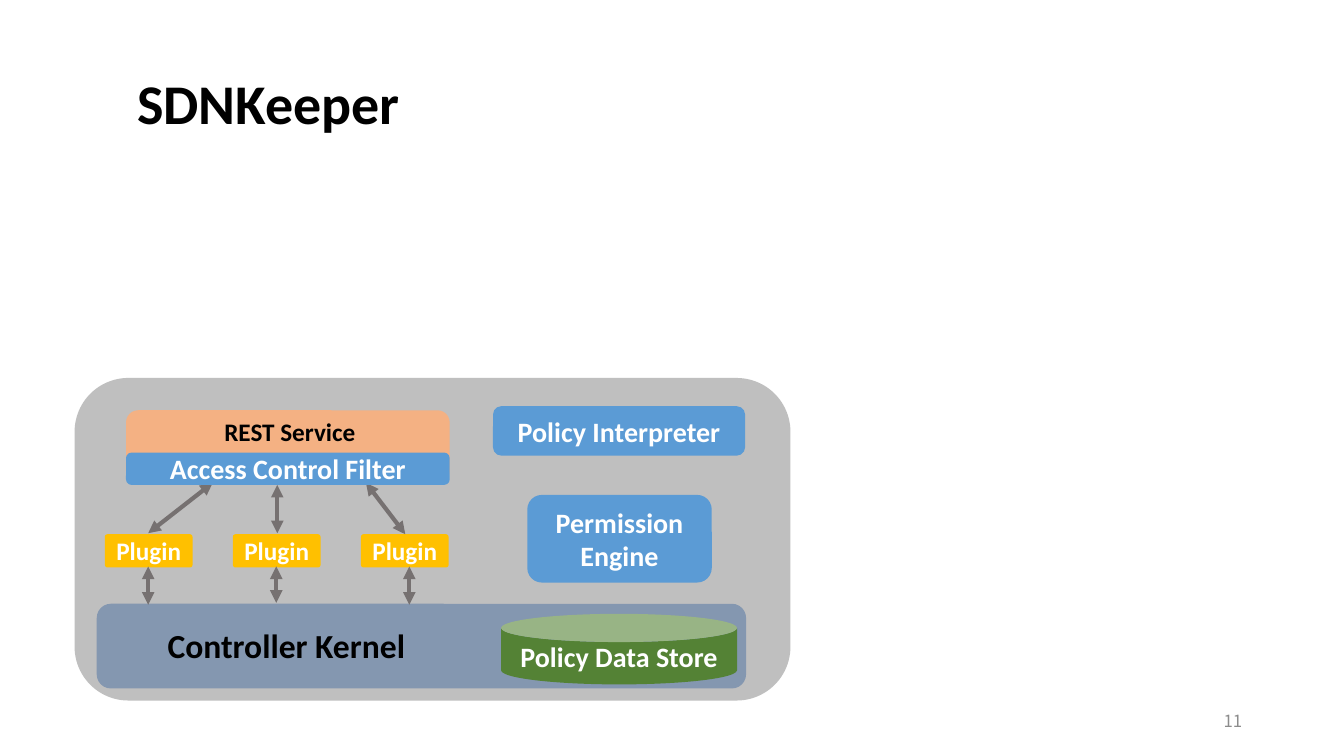
from lxml.etree import SubElement
from pptx import Presentation
from pptx.dml.color import RGBColor
from pptx.enum.shapes import MSO_CONNECTOR, MSO_SHAPE
from pptx.enum.text import MSO_ANCHOR, MSO_AUTO_SIZE, PP_ALIGN
from pptx.oxml.ns import qn
from pptx.util import Inches, Pt

BLACK, WHITE = "000000", "FFFFFF"
PANEL, KERNEL, REST = "BFBFBF", "8497B0", "F4B183"
BLUE, GREEN, YELLOW, ARROW = "5B9BD5", "548235", "FFC000", "767171"


def color(value):
    return RGBColor.from_string(value)


def write(frame, text, size, ink, align, bold=True, font="Calibri"):
    para = frame.paragraphs[0]
    para.alignment = align
    span = para.add_run()
    span.text = text
    span.font.name = font
    span.font.size = Pt(size)
    span.font.bold = bold
    span.font.color.rgb = color(ink)


def add_block(page, place, fill, text="", size=20, kind=MSO_SHAPE.ROUNDED_RECTANGLE, adjust=None):
    block = page.shapes.add_shape(kind, *map(Inches, place))
    block.shadow.inherit = False
    block.fill.solid()
    block.fill.fore_color.rgb = color(fill)
    block.line.fill.background()
    if adjust is not None:
        block.adjustments[0] = adjust
    if text:
        frame = block.text_frame
        frame.word_wrap = True
        frame.vertical_anchor = MSO_ANCHOR.MIDDLE
        frame.margin_left = frame.margin_right = Inches(0.05)
        frame.margin_top = frame.margin_bottom = 0
        write(frame, text, size, WHITE, PP_ALIGN.CENTER)


def add_label(page, place, text, size, ink=BLACK, align=PP_ALIGN.CENTER, wrap=False, **style):
    box = page.shapes.add_textbox(*map(Inches, place))
    box.text_frame.word_wrap = wrap
    box.text_frame.vertical_anchor = MSO_ANCHOR.MIDDLE
    write(box.text_frame, text, size, ink, align, **style)


def add_arrow(page, start, end):
    arrow = page.shapes.add_connector(MSO_CONNECTOR.STRAIGHT, *map(Inches, start + end))
    arrow.line.color.rgb = color(ARROW)
    arrow.line.width = Pt(3)
    line = arrow.line._get_or_add_ln()
    for tip in ("a:headEnd", "a:tailEnd"):
        SubElement(line, qn(tip), type="triangle")
    SubElement(arrow._element.spPr, qn("a:effectLst"))


def add_title(page, text):
    title = page.shapes.title
    title.left, title.top, title.width, title.height = map(Inches, (1.26, 0.63, 2.84, 0.77))
    frame = title.text_frame
    frame.auto_size = MSO_AUTO_SIZE.NONE
    frame.word_wrap = False
    frame.vertical_anchor = MSO_ANCHOR.TOP
    write(frame, text, 40, BLACK, PP_ALIGN.LEFT)


def add_plugins(page):
    for column in range(3):
        add_block(page, (1.04 + 1.27 * column, 5.3, 0.87, 0.33), YELLOW, "Plugin", 18, adjust=0.08)


def add_arrows(page):
    filter_links = [((2.11, 4.79), (1.47, 5.29)), ((2.75, 4.81), (2.75, 5.29)), ((3.63, 4.79), (4.02, 5.3))]
    kernel_links = [((x, 5.62), (x, bottom)) for x, bottom in ((2.74, 5.98), (4.06, 6), (1.47, 6))]
    for start, end in filter_links + kernel_links:
        add_arrow(page, start, end)


def main():
    deck = Presentation()
    deck.slide_width, deck.slide_height = Inches(13.33), Inches(7.5)
    page = deck.slides.add_slide(deck.slide_layouts[5])
    add_title(page, "SDNKeeper")
    add_block(page, (0.74, 3.75, 7.1, 3.2), PANEL)
    add_block(page, (0.96, 5.99, 6.44, 0.84), KERNEL)
    add_block(page, (4.97, 6.09, 2.34, 0.7), GREEN, "Policy Data Store", kind=MSO_SHAPE.CAN, adjust=0.4)
    add_plugins(page)
    add_block(page, (1.25, 4.07, 3.21, 0.72), REST)
    add_arrows(page)
    add_label(page, (2.12, 4.08, 1.51, 0.4), "REST Service", 18)
    add_label(page, (1.55, 6.15, 2.58, 0.5), "Controller Kernel", 24)
    add_block(page, (4.89, 4.03, 2.5, 0.49), BLUE, "Policy Interpreter")
    add_block(page, (5.23, 4.91, 1.83, 0.87), BLUE, "Permission Engine")
    add_block(page, (1.25, 4.49, 3.21, 0.32), BLUE, "Access Control Filter")
    add_label(page, (9.42, 6.95, 3, 0.4), "11", 12, "8C8C8C", PP_ALIGN.RIGHT, True,
              bold=False, font="Noto Sans CJK SC")
    deck.save("out.pptx")


main()
